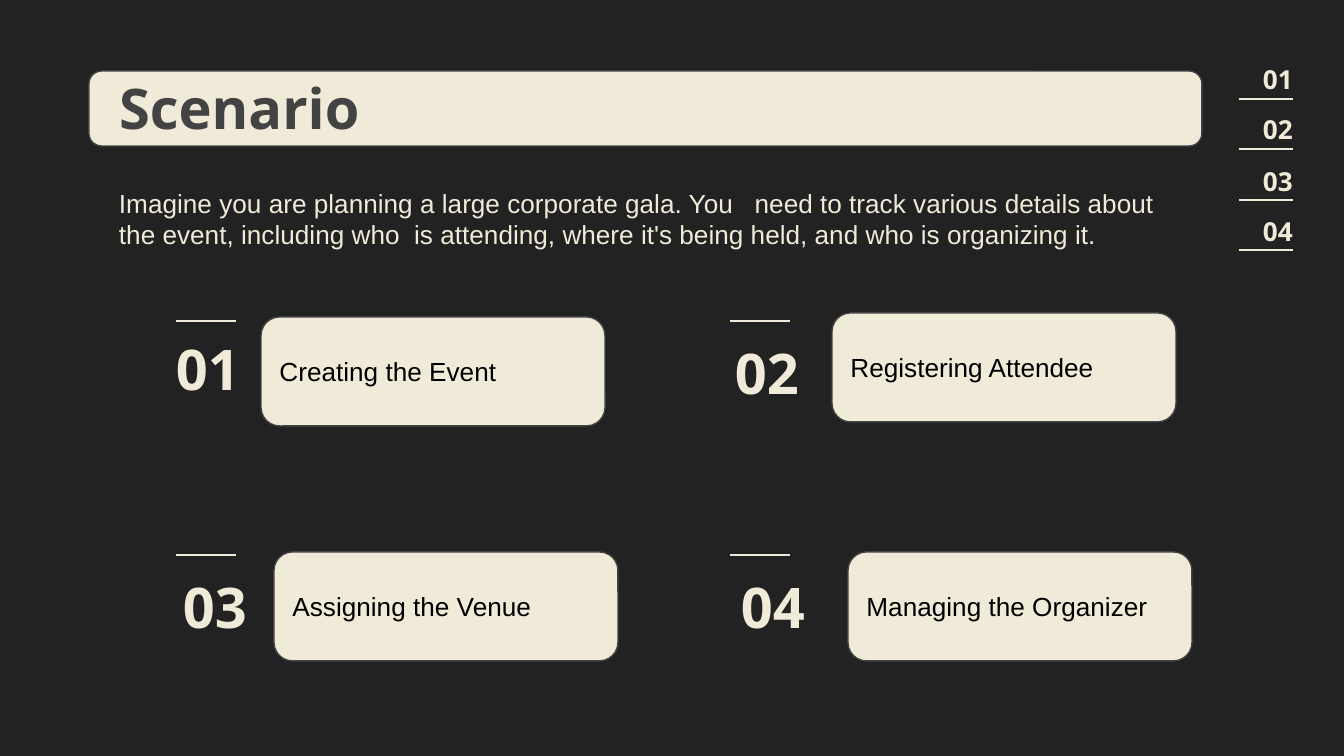
from dataclasses import dataclass

from lxml import etree
from pptx import Presentation
from pptx.dml.color import RGBColor
from pptx.enum.shapes import MSO_CONNECTOR, MSO_SHAPE
from pptx.enum.text import MSO_ANCHOR, MSO_AUTO_SIZE, PP_ALIGN
from pptx.oxml.ns import qn
from pptx.util import Pt

SCALE = 914400 / 134.4


def px(value):
    return round(value * SCALE)


@dataclass(frozen=True)
class Theme:
    dark: RGBColor = RGBColor(0x22, 0x22, 0x22)
    cream: RGBColor = RGBColor(0xF0, 0xEA, 0xD8)
    gray: RGBColor = RGBColor(0x43, 0x43, 0x43)
    black: RGBColor = RGBColor(0, 0, 0)
    heading_font: str = "Noto Sans"
    body_font: str = "Arial"
    heading_size: int = 30
    body_size: int = 14
    outline: float = 0.75
    rule: float = 1.5


class Canvas:
    def __init__(self, slide, theme):
        self.slide = slide
        self.theme = theme
        slide.background.fill.solid()
        slide.background.fill.fore_color.rgb = theme.dark

    def set_text(self, shape, text, size, color, heading=False,
                 align=PP_ALIGN.LEFT, anchor=MSO_ANCHOR.MIDDLE, inset_y=13):
        frame = shape.text_frame
        frame.word_wrap = True
        frame.auto_size = MSO_AUTO_SIZE.NONE
        frame.vertical_anchor = anchor
        frame.margin_left = frame.margin_right = px(13)
        frame.margin_top = frame.margin_bottom = px(inset_y)
        paragraph = frame.paragraphs[0]
        paragraph.alignment = align
        run = paragraph.add_run()
        run.text = text
        run.font.name = self.theme.heading_font if heading else self.theme.body_font
        run.font.size = Pt(size)
        run.font.bold = heading
        run.font.color.rgb = color

    def title(self, text, x, y, w, h):
        title = self.slide.shapes.title
        title.left, title.top, title.width, title.height = map(px, (x, y, w, h))
        self.slide.shapes._spTree.append(title._element)
        self.set_text(title, text, self.theme.heading_size, self.theme.gray, heading=True)

    def text(self, text, x, y, w, h):
        box = self.slide.shapes.add_textbox(*map(px, (x, y, w, h)))
        self.set_text(box, text, self.theme.body_size, self.theme.cream,
                      anchor=MSO_ANCHOR.TOP, inset_y=7)

    def number(self, text, size, x, y, w, h):
        box = self.slide.shapes.add_textbox(*map(px, (x, y, w, h)))
        self.set_text(box, text, size, self.theme.cream, heading=True, align=PP_ALIGN.RIGHT)

    def panel(self, x, y, w, h, text=None):
        panel = self.slide.shapes.add_shape(
            MSO_SHAPE.ROUNDED_RECTANGLE, *map(px, (x, y, w, h)))
        panel.adjustments[0] = 0.17
        panel.shadow.inherit = False
        panel.fill.solid()
        panel.fill.fore_color.rgb = self.theme.cream
        panel.line.color.rgb = self.theme.gray
        panel.line.width = Pt(self.theme.outline)
        if text:
            self.set_text(panel, text, self.theme.body_size, self.theme.black)

    def rule(self, x, y, w):
        line = self.slide.shapes.add_connector(
            MSO_CONNECTOR.STRAIGHT, *map(px, (x + w, y, x, y)))
        line.line.color.rgb = self.theme.cream
        line.line.width = Pt(self.theme.rule)
        etree.SubElement(line._element.spPr, qn("a:effectLst"))


prs = Presentation()
prs.slide_width, prs.slide_height = px(1344), px(756)
theme = Theme()
canvas = Canvas(prs.slides.add_slide(prs.slide_layouts[5]), theme)

canvas.panel(89, 71, 1113, 75)
canvas.title("Scenario", 106, 86, 977, 43)
canvas.text("Imagine you are planning a large corporate gala. You   need to track "
            "various details about the event, including who  is attending, where "
            "it's being held, and who is organizing it.", 106, 180, 1090, 77)

for index, (number_y, rule_y) in enumerate([(59, 99), (109, 149), (161, 200), (211, 250)], 1):
    canvas.number(f"{index:02}", theme.body_size, 1239, number_y, 67, 40)
    canvas.rule(1239, rule_y, 54)

steps = [
    ("Creating the Event", (261, 317), (145, 325)),
    ("Registering Attendee", (832, 313), (704, 329)),
    ("Assigning the Venue", (274, 552), (152, 563)),
    ("Managing the Organizer", (848, 552), (710, 563)),
]
for index, (label, card_at, number_at) in enumerate(steps):
    row, column = divmod(index, 2)
    canvas.panel(*card_at, 344, 109, label)
    canvas.number(f"{index + 1:02}", theme.heading_size, *number_at, 108, 87)
    canvas.rule(176 + 554 * column, 321 + 234 * row, 60)

prs.save("out.pptx")
